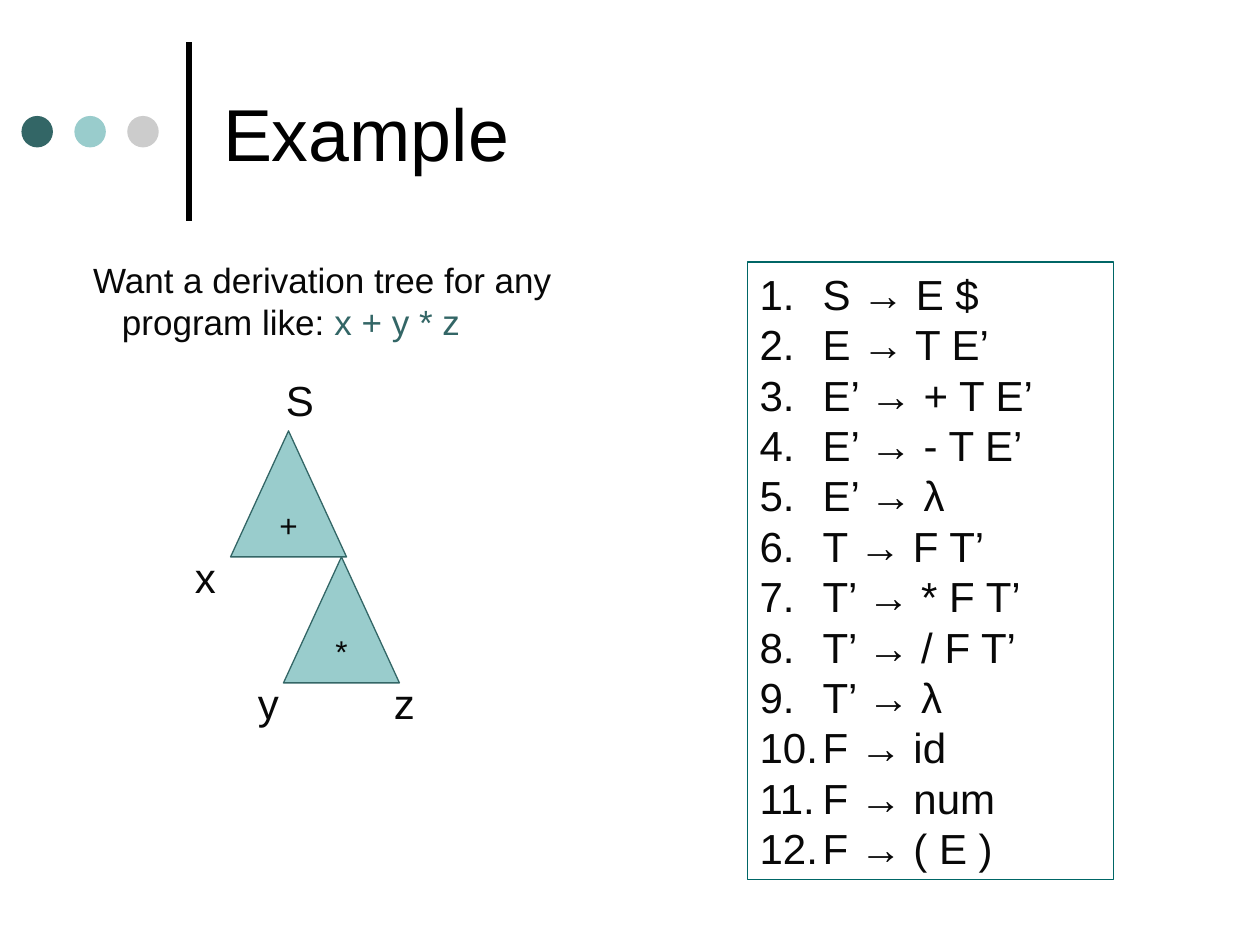
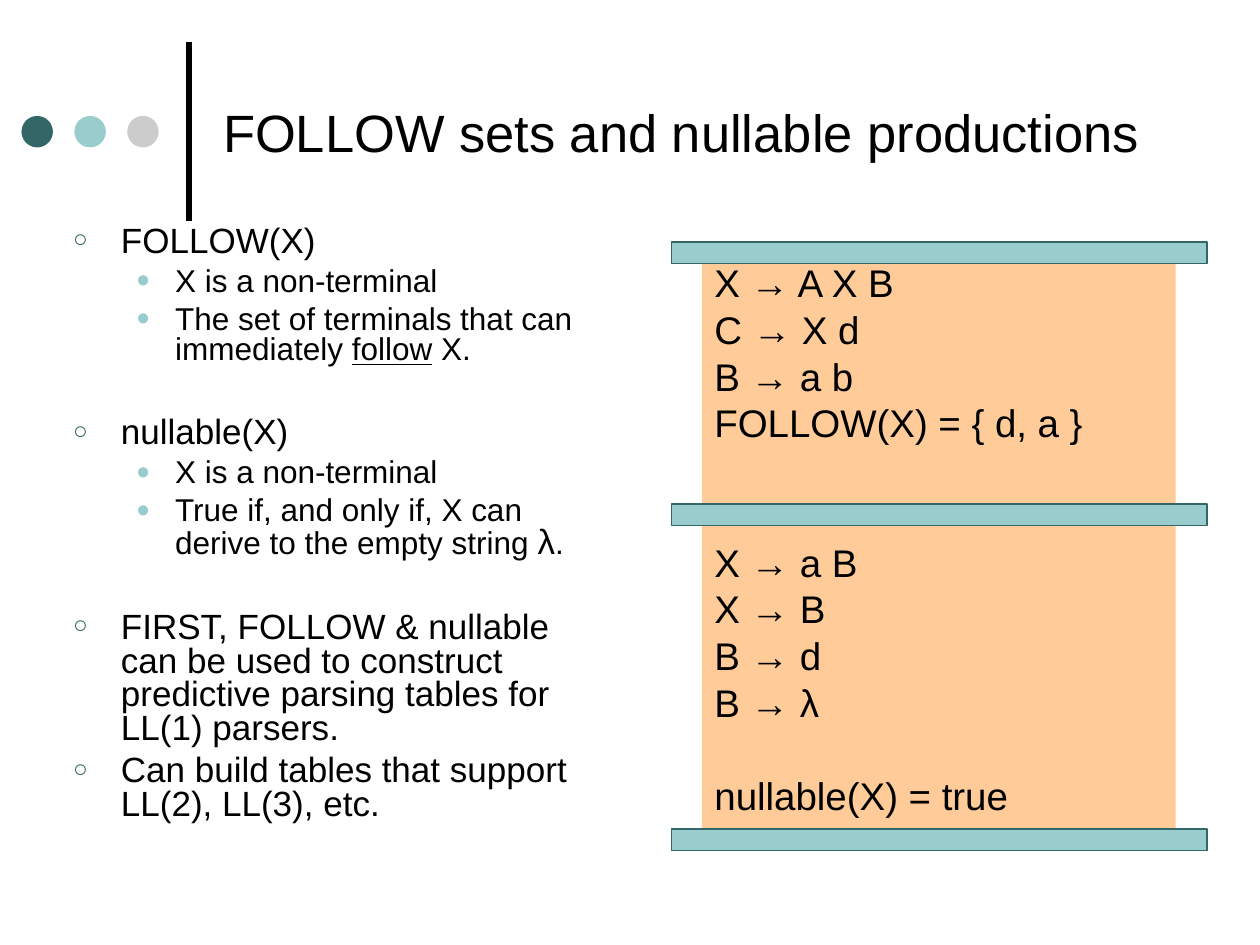
from dataclasses import dataclass
from lxml.etree import SubElement
from pptx import Presentation
from pptx.dml.color import RGBColor
from pptx.enum.shapes import MSO_CONNECTOR as Link, MSO_SHAPE as Form
from pptx.enum.text import MSO_ANCHOR as Anchor, MSO_AUTO_SIZE as Fit, PP_ALIGN as Align
from pptx.oxml.ns import qn
from pptx.util import Inches, Pt


@dataclass(frozen=True)
class Theme:
    font: str = "Arial"
    black: str = "000000"
    ink: str = "080808"
    dark: str = "336666"
    pale: str = "99CCCC"
    gray: str = "CCCCCC"
    peach: str = "FFCC99"
    frame: str = "006666"
    big: int = 42
    head: int = 30
    rule: int = 24
    gram: int = 22
    body: int = 20
    sub: int = 18


T = Theme()

# Content: derivation tree
TREE_HEAD = "Example"
INTRO = ["Want a derivation tree for any",
         [("program like: ", {}), ("x + y * z", {"color": T.dark})]]
RULES = ["S → E $", "E → T E’", "E’ → + T E’", "E’ → - T E’", "E’ → λ", "T → F T’",
         "T’ → * F T’", "T’ → / F T’", "T’ → λ", "F → id", "F → num", "F → ( E )"]
NODES = [("+", 1.83, 3.42), ("*", 2.25, 4.42)]
LEAVES = [("S", 2.17, 2.92), ("x", 1.42, 4.33), ("y", 1.92, 5.33), ("z", 3, 5.33)]

# Content: FOLLOW and nullable, as (level, text) with a wider gap before each topic
SETS_HEAD = "FOLLOW sets and nullable productions"
TOPICS = [
    [(0, "FOLLOW(X)"),
     (1, "X is a non-terminal"),
     (1, [("The set of terminals that can immediately ", {}),
          ("follow", {"under": True}), (" X.", {})])],
    [(0, "nullable(X)"),
     (1, "X is a non-terminal"),
     (1, [("True if, and only if, X can derive to the empty string ", {}),
          ("λ", {"size": T.body}), (".", {})])],
    [(0, "FIRST, FOLLOW & nullable can be used to construct predictive "
         "parsing tables for LL(1) parsers."),
     (0, "Can build tables that support LL(2), LL(3), etc.")],
]
LEVELS = [
    dict(size=T.body, before=5, left=0.38, hang=0.38, bullet="○", tint=T.dark, scale=70),
    dict(size=T.sub, before=4.5, left=0.81, hang=0.31, bullet="●", tint=T.pale, scale=75),
]
# Each group of lines with the space before it, in points
GRAMMAR = [
    (0, ["X → A X B", "C → X d", "B → a b", "FOLLOW(X) = { d, a }"]),
    (58.7, ["X → a B", "X → B", "B → d", "B → λ"]),
    (32.1, ["nullable(X) = true"]),
]
TIGHT = 0.8
TOPIC_GAP = 29.2
BARS = [1.92, 4, 6.58]


# Text
def mark(para, bullet, tint, scale, left, hang):
    props = para._p.get_or_add_pPr()
    props.set("marL", str(Inches(left)))
    props.set("indent", str(-Inches(hang)))
    if not bullet:
        SubElement(props, qn("a:buNone"))
        return
    SubElement(SubElement(props, qn("a:buClr")), qn("a:srgbClr"), val=tint)
    SubElement(props, qn("a:buSzPct"), val=str(scale * 1000))
    if bullet == "1.":
        SubElement(props, qn("a:buAutoNum"), type="arabicPeriod")
    else:
        SubElement(props, qn("a:buChar"), char=bullet)


def write(frame, text, *, size, color=T.ink, align=Align.LEFT, level=0, before=0,
          line=1.0, left=0, hang=0, bullet=None, tint=T.ink, scale=100):
    """Add one paragraph; text is a string or a list of (string, changes)."""
    first = frame.paragraphs[0]
    para = frame.add_paragraph() if first.runs else first
    para.level, para.alignment = level, align
    mark(para, bullet, tint, scale, left, hang)
    para.line_spacing = line
    para.space_before = Pt(0 if para is first else before)
    para.space_after = Pt(0)
    for part, diff in [(text, {})] if isinstance(text, str) else text:
        run = para.add_run()
        run.text = part
        font = run.font
        font.name, font.size = T.font, Pt(diff.get("size", size))
        font.color.rgb = RGBColor.from_string(diff.get("color", color))
        font.underline = diff.get("under")


def setup(frame, anchor=Anchor.TOP, wrap=True):
    frame.auto_size = Fit.NONE
    frame.word_wrap, frame.vertical_anchor = wrap, anchor
    return frame


# Shapes
def place(item, *box):
    item.left, item.top, item.width, item.height = map(Inches, box)
    return item


def shape(slide, form, box, fill=None, line=None):
    item = slide.shapes.add_shape(form, *map(Inches, box))
    item.shadow.inherit = False
    if fill:
        item.fill.solid()
        item.fill.fore_color.rgb = RGBColor.from_string(fill)
    else:
        item.fill.background()
    if line:
        item.line.color.rgb = RGBColor.from_string(line)
        item.line.width = Pt(0.75)
    else:
        item.line.fill.background()
    return item


def label(slide, *box):
    return setup(slide.shapes.add_textbox(*map(Inches, box)).text_frame)


# Shared slide frame: title, rule and dots
def start(deck, layout, head, size):
    slide = deck.slides.add_slide(deck.slide_layouts[layout])
    bar = slide.shapes.add_connector(Link.STRAIGHT, *map(Inches, (1.5, 1.75, 1.5, 0.33)))
    bar.line.color.rgb = RGBColor.from_string(T.black)
    bar.line.width = Pt(3)
    SubElement(bar._element.spPr, qn("a:effectLst"))
    for i, fill in enumerate((T.dark, T.pale, T.gray)):
        shape(slide, Form.OVAL, (0.17 + 0.42 * i, 0.92, 0.25, 0.25), fill)
    title = place(slide.shapes.title, 1.67, 0.21, 7.67, 1.67)
    write(setup(title.text_frame, Anchor.MIDDLE), head, size=size, color=T.black)
    return slide


def tree(deck):
    slide = start(deck, 5, TREE_HEAD, T.big)
    # Numbered grammar
    box = shape(slide, Form.RECTANGLE, (5.93, 2.08, 2.91, 4.9), line=T.frame)
    frame = setup(box.text_frame)
    for rule in RULES:
        write(frame, rule, size=T.rule, left=0.5, hang=0.5, bullet="1.")
    # Introduction
    frame = label(slide, 0.64, 2, 4, 0.77)
    for text, left in zip(INTRO, (0, 0.23)):
        write(frame, text, size=T.body, left=left)
    # Tree
    for name, x, y in LEAVES:
        write(label(slide, x, y, 0.42, 0.5), name, size=T.rule, align=Align.CENTER)
    for sign, x, y in NODES:
        node = shape(slide, Form.ISOSCELES_TRIANGLE, (x, y, 0.92, 1), T.pale, T.dark)
        write(setup(node.text_frame, Anchor.MIDDLE, False), sign,
              size=T.sub, align=Align.CENTER)


def sets(deck):
    slide = start(deck, 3, SETS_HEAD, T.head)
    # Topics
    body = place(slide.placeholders[1], 0.48, 1.75, 4.27, 4.83)
    frame = setup(body.text_frame)
    for topic in TOPICS:
        for i, (level, text) in enumerate(topic):
            form = dict(LEVELS[level])
            if i == 0:
                form["before"] = TOPIC_GAP
            write(frame, text, color=T.black, level=level, line=TIGHT, **form)
    # Grammar panel
    panel = place(slide.placeholders[2], 5.57, 2.08, 3.76, 4.5)
    panel.fill.solid()
    panel.fill.fore_color.rgb = RGBColor.from_string(T.peach)
    frame = setup(panel.text_frame)
    for gap, lines in GRAMMAR:
        for i, text in enumerate(lines):
            write(frame, text, size=T.gram, color=T.black, line=TIGHT,
                  before=5.5 if i else gap, left=0.38, hang=0.38)
    # Bars
    for y in BARS:
        shape(slide, Form.RECTANGLE, (5.33, y, 4.25, 0.17), T.pale, T.dark)


def main():
    deck = Presentation()
    deck.slide_width, deck.slide_height = Inches(10), Inches(7.5)
    tree(deck)
    sets(deck)
    deck.save("out.pptx")


if __name__ == "__main__":
    main()
